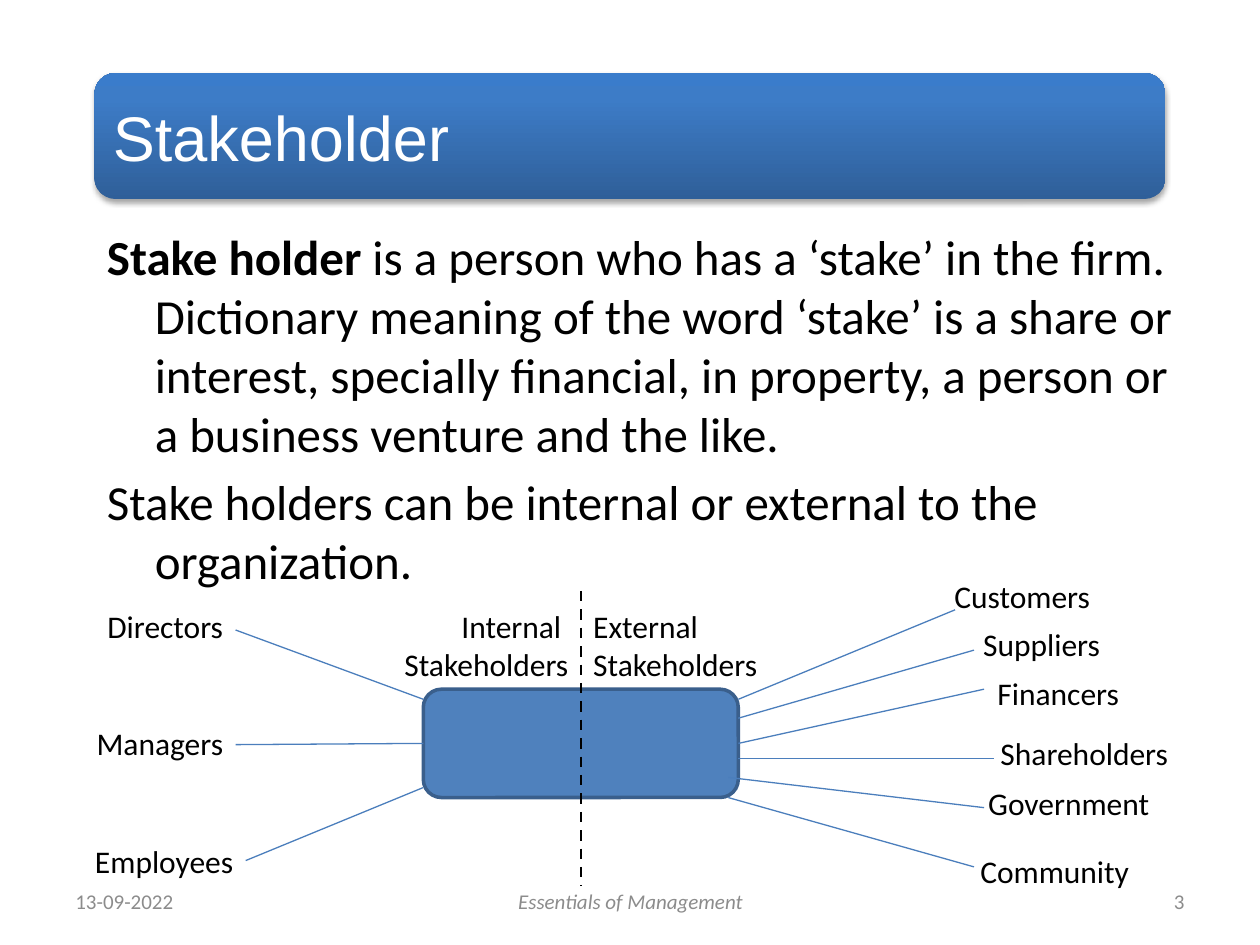
from dataclasses import dataclass

from lxml.etree import SubElement
from pptx import Presentation
from pptx.dml.color import RGBColor
from pptx.enum.dml import MSO_LINE
from pptx.enum.shapes import MSO_CONNECTOR, MSO_SHAPE
from pptx.enum.text import MSO_ANCHOR, PP_ALIGN
from pptx.oxml.ns import qn
from pptx.util import Inches, Pt


@dataclass(frozen=True)
class Theme:
    banner_stops: tuple = ((0, "2F5F99"), (80, "3D7CC7"), (100, "3A7CCB"))
    firm: str = "4F81BD"
    firm_edge: str = "3A5F8C"
    spoke: str = "4B7EBC"
    ink: str = "000000"
    white: str = "FFFFFF"
    muted: str = "8C8C8C"
    heading_font: str = "Arial"
    body_font: str = "Calibri"
    heading_size: float = 36
    body_size: float = 28
    label_size: float = 18
    footer_size: float = 12


THEME = Theme()


@dataclass(frozen=True)
class Span:
    text: str
    bold: bool = False


@dataclass(frozen=True)
class Stakeholder:
    name: str
    left: float
    top: float
    start: tuple[float, float]
    end: tuple[float, float]


@dataclass(frozen=True)
class Footer:
    text: str
    left: float
    width: float
    align: PP_ALIGN
    italic: bool = False


LABEL_WIDTH, LABEL_HEIGHT = 1.56, 0.4
FIRM_LEFT, FIRM_RIGHT, FIRM_MIDDLE = 3.36, 5.86, 4.61

STAKEHOLDERS = (
    Stakeholder("Directors", 0.31, 4.77, (1.87, 5), (FIRM_LEFT, 5.55)),
    Stakeholder("Managers", 0.31, 5.7, (FIRM_LEFT, 5.9), (1.87, 5.91)),
    Stakeholder("Employees", 0.39, 6.63, (1.95, 6.83), (FIRM_LEFT, 6.25)),
    Stakeholder("Customers", 7.19, 4.53, (FIRM_RIGHT, 5.55), (7.58, 4.84)),
    Stakeholder("Suppliers", 7.27, 4.91, (FIRM_RIGHT, 5.7), (7.73, 5.16)),
    Stakeholder("Financers", 7.42, 5.3, (FIRM_RIGHT, 5.9), (7.81, 5.47)),
    Stakeholder("Shareholders", 7.81, 5.78, (FIRM_RIGHT, 6.02), (7.89, 6.02)),
    Stakeholder("Government", 7.66, 6.17, (5.78, 6.17), (7.81, 6.41)),
    Stakeholder("Community", 7.5, 6.71, (5.78, 6.33), (7.73, 6.88)),
)

FOOTERS = (
    Footer("13-09-2022", 0.5, 2.33, PP_ALIGN.LEFT),
    Footer("Essentials of Management", 3.42, 3.17, PP_ALIGN.CENTER, True),
    Footer("3", 7.17, 2.33, PP_ALIGN.RIGHT),
)

BODY = (
    (
        Span("Stake holder ", True),
        Span(
            "is a person who has a ‘stake’ in the firm. Dictionary meaning of the "
            "word ‘stake’ is a share or interest, specially financial, in property, "
            "a person or a business venture and the like."
        ),
    ),
    (Span("Stake holders can be internal or external to the organization."),),
)


def apply_format(target, values: dict) -> None:
    for name, value in values.items():
        setattr(target, name, value)


def write(frame, paragraphs, size: float, color: str = THEME.ink,
          font: str = THEME.body_font, italic: bool = False, **layout) -> None:
    for index, spans in enumerate(paragraphs):
        para = frame.paragraphs[0] if index == 0 else frame.add_paragraph()
        apply_format(para, layout)
        for span in spans:
            run = para.add_run()
            run.text = span.text
            apply_format(run.font, {"name": font, "size": Pt(size),
                                    "bold": span.bold, "italic": italic})
            run.font.color.rgb = RGBColor.from_string(color)


def add_text(page, left: float, top: float, width: float, height: float,
             paragraphs, size: float, anchor=MSO_ANCHOR.TOP, **style):
    box = page.shapes.add_textbox(
        Inches(left), Inches(top), Inches(width), Inches(height))
    apply_format(box.text_frame, {"word_wrap": True, "vertical_anchor": anchor})
    write(box.text_frame, paragraphs, size, **style)
    return box


def add_line(page, start: tuple[float, float], end: tuple[float, float],
             color: str, width: float, dash=None) -> None:
    line = page.shapes.add_connector(
        MSO_CONNECTOR.STRAIGHT, *(Inches(value) for value in start + end))
    line.line.color.rgb = RGBColor.from_string(color)
    apply_format(line.line, {"width": Pt(width), "dash_style": dash})
    SubElement(line._element.spPr, qn("a:effectLst"))


def add_rounded(page, left: float, top: float, width: float, height: float):
    shape = page.shapes.add_shape(
        MSO_SHAPE.ROUNDED_RECTANGLE,
        Inches(left), Inches(top), Inches(width), Inches(height))
    shape.shadow.inherit = False
    return shape


def add_color(parent, color: str):
    return SubElement(parent, qn("a:srgbClr"), val=color)


def add_banner(page) -> None:
    banner = add_rounded(page, 0.75, 0.58, 8.5, 1)
    banner.line.fill.background()
    banner.fill.gradient()
    banner.fill.gradient_angle = 90
    properties = banner._element.spPr
    stops = properties.find(qn("a:gradFill")).find(qn("a:gsLst"))
    for stop in list(stops):
        stops.remove(stop)
    for position, color in THEME.banner_stops:
        add_color(SubElement(stops, qn("a:gs"), pos=str(position * 1000)), color)
    shadow = SubElement(
        properties.find(qn("a:effectLst")), qn("a:outerShdw"),
        blurRad=str(Pt(3.1)), dist=str(Pt(1.8)), dir="5400000", rotWithShape="0")
    SubElement(add_color(shadow, THEME.ink), qn("a:alpha"), val="35000")
    apply_format(banner.text_frame,
                 {"word_wrap": True, "vertical_anchor": MSO_ANCHOR.MIDDLE})
    write(banner.text_frame, ((Span("Stakeholder"),),), THEME.heading_size,
          THEME.white, THEME.heading_font, alignment=PP_ALIGN.LEFT)


def add_body(page) -> None:
    body = add_text(page, 0.75, 1.75, 8.75, 5.31, BODY, THEME.body_size,
                    space_before=Pt(THEME.body_size * 0.2))
    for para in body.text_frame.paragraphs:
        properties = para._p.get_or_add_pPr()
        properties.set("marL", str(Inches(0.38)))
        properties.set("indent", str(Inches(-0.38)))


def add_diagram(page) -> None:
    firm = add_rounded(page, FIRM_LEFT, 5.47, FIRM_RIGHT - FIRM_LEFT, 0.86)
    firm.fill.solid()
    firm.fill.fore_color.rgb = RGBColor.from_string(THEME.firm)
    firm.line.color.rgb = RGBColor.from_string(THEME.firm_edge)
    firm.line.width = Pt(2)
    add_line(page, (FIRM_MIDDLE, 4.69), (FIRM_MIDDLE, 7.03),
             THEME.ink, 1.5, MSO_LINE.DASH)
    for side, left, align in (
            ("Internal ", FIRM_MIDDLE - LABEL_WIDTH, PP_ALIGN.RIGHT),
            ("External", FIRM_MIDDLE, PP_ALIGN.LEFT)):
        add_text(page, left, 4.77, LABEL_WIDTH, 0.71,
                 ((Span(side),), (Span("Stakeholders"),)),
                 THEME.label_size, alignment=align)
    for holder in STAKEHOLDERS:
        add_line(page, holder.start, holder.end, THEME.spoke, 0.75)
        add_text(page, holder.left, holder.top, LABEL_WIDTH, LABEL_HEIGHT,
                 ((Span(holder.name),),), THEME.label_size,
                 alignment=PP_ALIGN.RIGHT)


def main() -> None:
    deck = Presentation()
    apply_format(deck, {"slide_width": Inches(10), "slide_height": Inches(7.5)})
    page = deck.slides.add_slide(deck.slide_layouts[6])
    add_banner(page)
    add_body(page)
    for footer in FOOTERS:
        add_text(page, footer.left, 6.95, footer.width, 0.4,
                 ((Span(footer.text),),), THEME.footer_size, MSO_ANCHOR.MIDDLE,
                 color=THEME.muted, italic=footer.italic, alignment=footer.align)
    add_diagram(page)
    deck.save("out.pptx")


if __name__ == "__main__":
    main()
